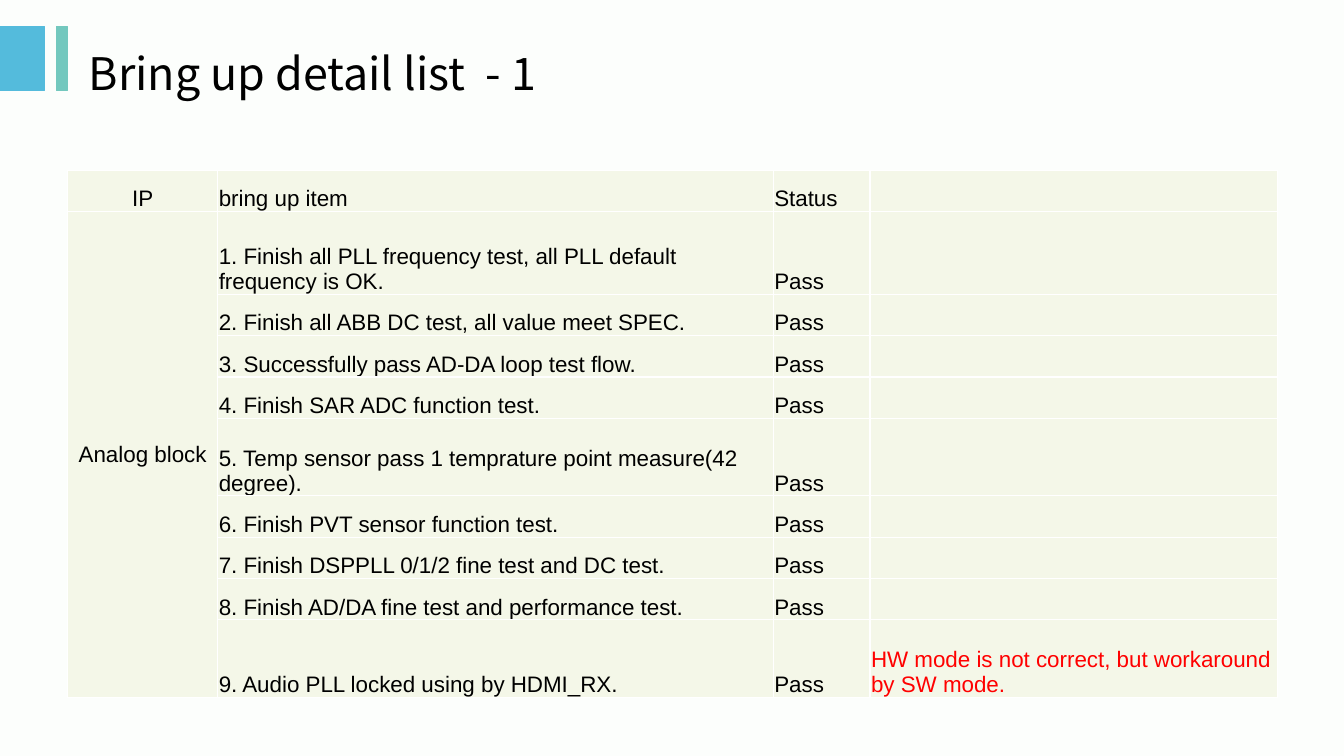
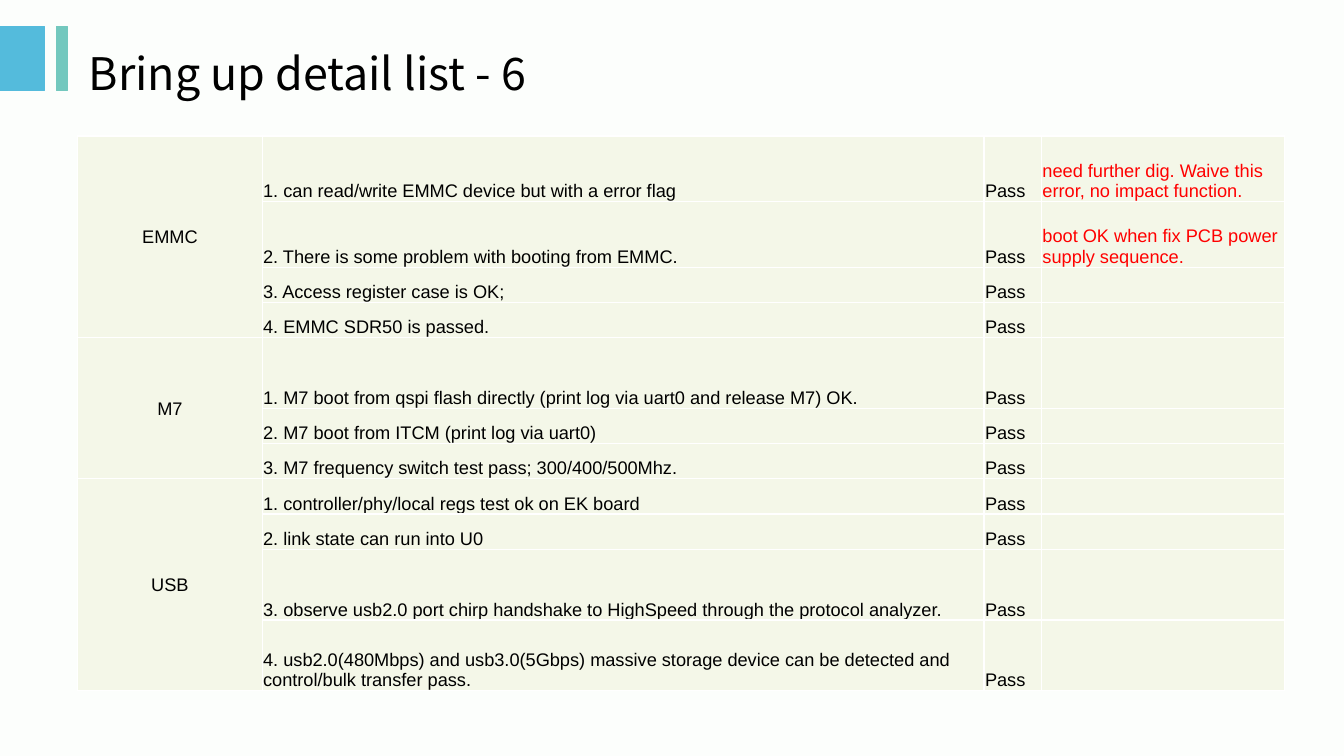
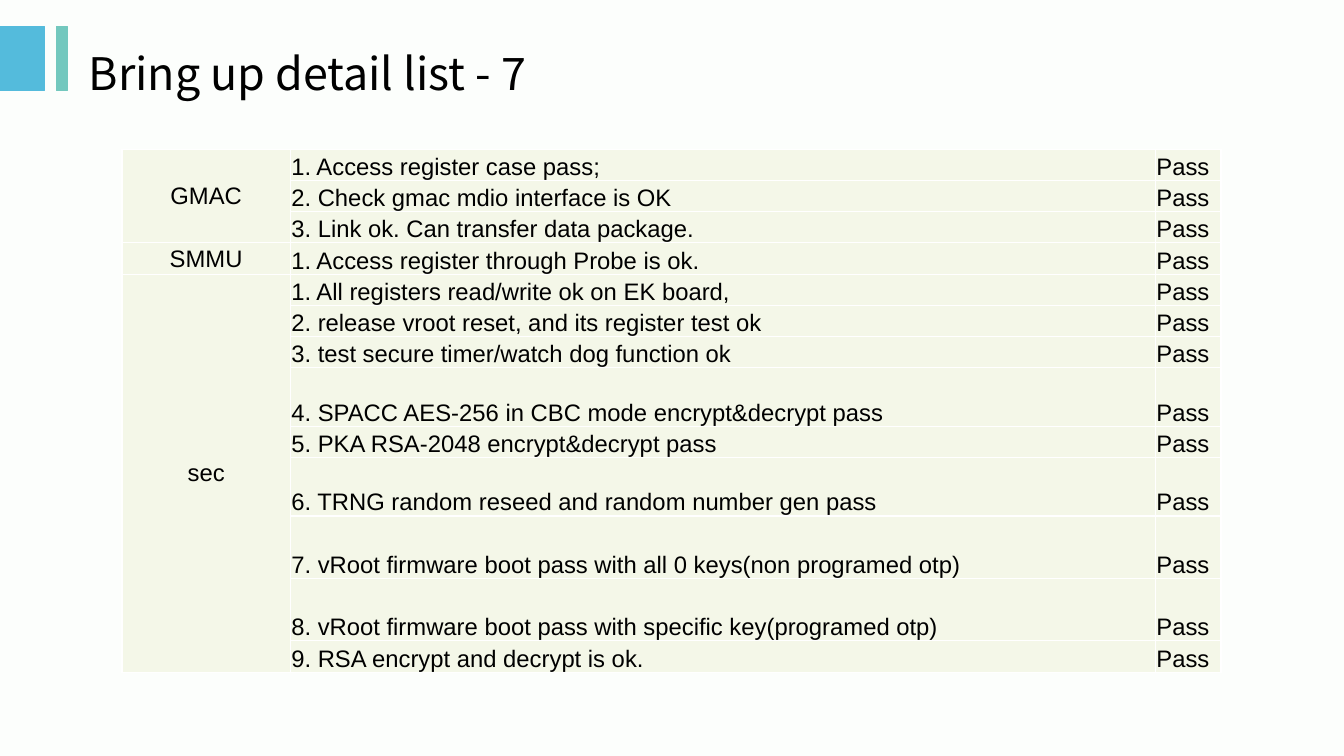
from dataclasses import dataclass
from itertools import zip_longest

from pptx import Presentation
from pptx.dml.color import RGBColor
from pptx.enum.shapes import MSO_SHAPE
from pptx.enum.text import MSO_ANCHOR, PP_ALIGN
from pptx.oxml import parse_xml
from pptx.oxml.ns import nsdecls
from pptx.util import Inches, Pt


@dataclass(frozen=True)
class Theme:
    background: str = "FCFEFC"
    blue: str = "54BBDC"
    green: str = "73C8BE"
    text: str = "000000"
    note: str = "FF0000"
    cell: str = "F4F7E8"
    border: str = "FFFFFF"
    title_font: str = "Noto Sans CJK SC"
    table_font: str = "Arial"
    title_size: int = 32


theme = Theme()
bands = [(0, 0.44, theme.blue), (0.56, 0.11, theme.green)]
heading = "IP"

pages = [
    {
        "title": "Bring up detail list  - 1",
        "place": (0.67, 1.69),
        "columns": [1.49, 5.51, 0.96, 4.04],
        "size": 16,
        "groups": [
            (heading, [(0.41, "bring up item")]),
            ("Analog block", [
                (0.82, "1. Finish all PLL frequency test, all PLL default frequency is OK."),
                (0.41, "2. Finish all ABB DC test, all value meet SPEC."),
                (0.41, "3. Successfully pass AD-DA loop test flow."),
                (0.41, "4. Finish SAR ADC function test."),
                (0.77, "5. Temp sensor pass 1 temprature point measure(42 degree)."),
                (0.41, "6. Finish PVT sensor function test."),
                (0.41, "7. Finish DSPPLL 0/1/2 fine test and DC test."),
                (0.41, "8. Finish AD/DA fine test and performance test."),
                (0.77, "9. Audio PLL locked using by HDMI_RX.",
                 "HW mode is not correct, but workaround by SW mode."),
            ]),
        ],
    },
    {
        "title": "Bring up detail list - 6",
        "place": (0.77, 1.35),
        "columns": [1.83, 7.16, 0.57, 2.41],
        "size": 13,
        "groups": [
            ("EMMC", [
                (0.65, "1. can read/write EMMC device but with a error flag",
                 "need further dig. Waive this error, no impact function."),
                (0.65, "2. There is some problem with booting from EMMC.",
                 "boot OK when fix PCB power supply sequence."),
                (0.35, "3. Access register case is OK;"),
                (0.35, "4. EMMC SDR50 is passed."),
            ]),
            ("M7", [
                (0.7, "1. M7 boot from qspi flash directly (print log via uart0 and release M7) OK."),
                (0.35, "2. M7 boot from ITCM (print log via uart0)"),
                (0.35, "3. M7 frequency switch test pass; 300/400/500Mhz."),
            ]),
            ("USB", [
                (0.35, "1. controller/phy/local regs test ok on EK board"),
                (0.35, "2. link state can run into U0"),
                (0.7, "3. observe usb2.0 port chirp handshake to HighSpeed through the protocol analyzer."),
                (0.7, "4. usb2.0(480Mbps) and usb3.0(5Gbps) massive storage device can be detected "
                      "and control/bulk transfer pass."),
            ]),
        ],
    },
    {
        "title": "Bring up detail list - 7",
        "place": (1.21, 1.48),
        "columns": [1.67, 8.58, 0.65],
        "size": 17,
        "groups": [
            ("GMAC", [
                (0.31, "1. Access register case pass;"),
                (0.31, "2. Check gmac mdio interface is OK"),
                (0.31, "3. Link ok. Can transfer data package."),
            ]),
            ("SMMU", [(0.31, "1. Access register through Probe is ok.")]),
            ("sec", [
                (0.31, "1. All registers read/write ok on EK board,"),
                (0.31, "2. release vroot reset, and its register test ok"),
                (0.31, "3. test secure timer/watch dog function ok"),
                (0.58, "4. SPACC AES-256 in CBC mode encrypt&decrypt pass"),
                (0.31, "5. PKA RSA-2048 encrypt&decrypt pass"),
                (0.58, "6. TRNG random reseed and random number gen pass"),
                (0.62, "7. vRoot firmware boot pass with all 0 keys(non programed otp)"),
                (0.62, "8. vRoot firmware boot pass with specific key(programed otp)"),
                (0.31, "9. RSA encrypt and decrypt is ok."),
            ]),
        ],
    },
]


def write(frame, text, font, size, color):
    frame.text = text
    for span in frame.paragraphs[0].runs:
        span.font.name = font
        span.font.size = Pt(size)
        span.font.color.rgb = RGBColor.from_string(color)


def style_cell(cell, anchor):
    cell.margin_left = cell.margin_right = cell.margin_top = Inches(0.01)
    cell.margin_bottom = 0
    cell.vertical_anchor = anchor
    properties = cell._tc.get_or_add_tcPr()
    for side in ("lnL", "lnR", "lnT", "lnB"):
        properties.append(parse_xml(
            f'<a:{side} {nsdecls("a")} w="{Pt(1)}"><a:solidFill>'
            f'<a:srgbClr val="{theme.border}"/></a:solidFill></a:{side}>'))
    cell.fill.solid()
    cell.fill.fore_color.rgb = RGBColor.from_string(theme.cell)


deck = Presentation()
deck.slide_width, deck.slide_height = Inches(13.33), Inches(7.5)
backdrop = deck.slide_master.background.fill
backdrop.solid()
backdrop.fore_color.rgb = RGBColor.from_string(theme.background)

for page in pages:
    slide = deck.slides.add_slide(deck.slide_layouts[6])
    for left, width, color in bands:
        band = slide.shapes.add_shape(
            MSO_SHAPE.RECTANGLE, Inches(left), Inches(0.26), Inches(width), Inches(0.64))
        band.shadow.inherit = False
        band.fill.solid()
        band.fill.fore_color.rgb = RGBColor.from_string(color)
        band.line.color.rgb = RGBColor.from_string(color)
        band.line.width = Pt(0.75)

    title = slide.shapes.add_textbox(Inches(0.78), Inches(0.26), Inches(11.88), Inches(0.92))
    title.text_frame.word_wrap = True
    title.text_frame.vertical_anchor = MSO_ANCHOR.MIDDLE
    write(title.text_frame, page["title"], theme.title_font, theme.title_size, theme.text)

    left, top = page["place"]
    columns = page["columns"]
    heights = [entry[0] for label, entries in page["groups"] for entry in entries]
    table = slide.shapes.add_table(
        len(heights), len(columns), Inches(left), Inches(top),
        Inches(sum(columns)), Inches(sum(heights))).table
    table.first_row = table.horz_banding = False
    for column, width in zip(table.columns, columns):
        column.width = Inches(width)
    for row, height in zip(table.rows, heights):
        row.height = Inches(height)

    first = 0
    for label, entries in page["groups"]:
        status = "Status" if label == heading else "Pass"
        for offset, (height, item, *notes) in enumerate(entries):
            texts = ["" if offset else label, item, status, *notes]
            cells = table.rows[first + offset].cells
            for index, (cell, text) in enumerate(zip_longest(cells, texts, fillvalue="")):
                middle = index == 0 and label != heading
                style_cell(cell, MSO_ANCHOR.MIDDLE if middle else MSO_ANCHOR.BOTTOM)
                color = theme.note if index == 3 else theme.text
                write(cell.text_frame, text, theme.table_font, page["size"], color)
        label_cell = table.cell(first, 0)
        label_cell.text_frame.paragraphs[0].alignment = PP_ALIGN.CENTER
        if len(entries) > 1:
            label_cell.merge(table.cell(first + len(entries) - 1, 0))
        first += len(entries)

deck.save("out.pptx")
